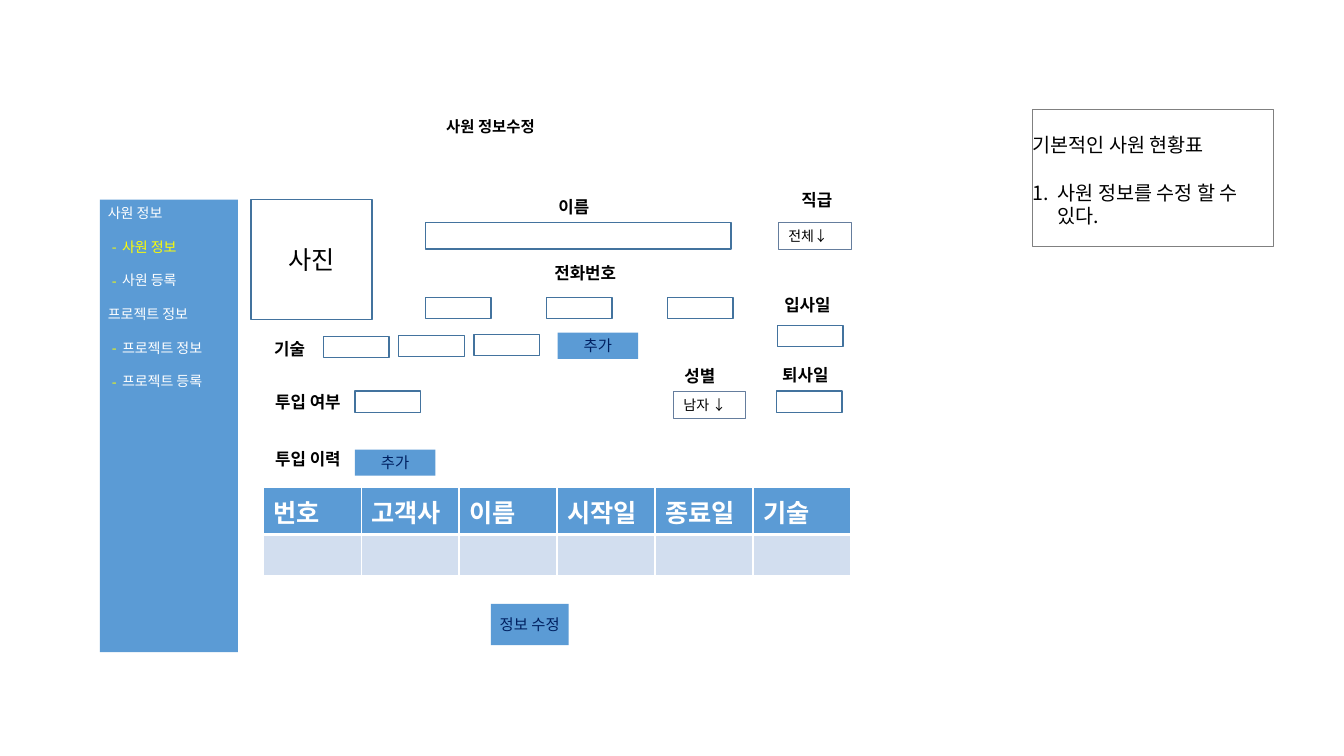
"""Build the employee information editing screen as one slide."""
from dataclasses import dataclass
from typing import Optional

from lxml.etree import SubElement
from pptx import Presentation
from pptx.dml.color import RGBColor
from pptx.enum.shapes import MSO_SHAPE as SHAPE
from pptx.enum.text import MSO_ANCHOR as ANCHOR, MSO_AUTO_SIZE as AUTO, PP_ALIGN as ALIGN
from pptx.oxml import parse_xml
from pptx.oxml.ns import nsdecls, qn
from pptx.util import Inches, Pt

FONT = "Noto Sans CJK KR"
BLACK = RGBColor(0x00, 0x00, 0x00)
WHITE = RGBColor(0xFF, 0xFF, 0xFF)
YELLOW = RGBColor(0xFF, 0xFF, 0x00)
BLUE = RGBColor(0x5B, 0x9B, 0xD5)
PALE = RGBColor(0xD2, 0xDE, 0xEF)
NAVY = RGBColor(0x00, 0x20, 0x60)
OUTLINE = RGBColor(0x43, 0x73, 0x9E)
DROP_LINE = RGBColor(0x65, 0x7D, 0x9D)
GRAY = RGBColor(0x80, 0x80, 0x80)


@dataclass(frozen=True)
class Style:
    size: float
    color: RGBColor = BLACK
    bold: bool = False
    align: ALIGN = ALIGN.LEFT
    anchor: ANCHOR = ANCHOR.TOP
    fill: Optional[RGBColor] = None
    line: Optional[RGBColor] = None
    weight: float = 1
    inset: tuple = (0.1, 0.05)


@dataclass(frozen=True)
class Item:
    left: float
    top: float
    width: float
    height: float
    style: Style
    text: str = ""


@dataclass(frozen=True)
class Entry:
    text: str
    color: RGBColor
    bullet: str = ""
    margin: float = 0
    hang: float = 0


TITLE = Style(11, bold=True, align=ALIGN.CENTER)
LABEL = Style(12, bold=True)
FIELD = Style(12, line=OUTLINE)
DROPDOWN = Style(10, line=DROP_LINE, weight=0.75)
BUTTON = Style(11, NAVY, align=ALIGN.CENTER, anchor=ANCHOR.MIDDLE, fill=BLUE, inset=(0, 0))
PHOTO = Style(18, align=ALIGN.CENTER, anchor=ANCHOR.MIDDLE, line=OUTLINE)
MENU = Style(10, WHITE, fill=BLUE, inset=(0.08, 0.05))
NOTE = Style(14, fill=WHITE, line=GRAY, weight=0.75, inset=(0, 0.23))
HEADER = Style(18, WHITE, bold=True)


def label(left: float, top: float, text: str, width: float = 0.75) -> Item:
    return Item(left, top, width, 0.3, LABEL, text)


def field(left: float, top: float) -> Item:
    return Item(left, top, 0.65, 0.21, FIELD)


def menu_item(text: str, color: RGBColor = WHITE) -> Entry:
    return Entry(text, color, "-", 0.14, 0.1)


MENU_ENTRIES = [
    Entry("사원 정보", WHITE), menu_item("사원 정보", YELLOW), menu_item("사원 등록"),
    Entry("프로젝트 정보", WHITE), menu_item("프로젝트 정보"), menu_item("프로젝트 등록"),
]
NOTE_ENTRIES = [
    Entry("기본적인 사원 현황표", BLACK),
    Entry("사원 정보를 수정 할 수 있다.", BLACK, "1.", 0.25, 0.25),
]
COLUMNS = ["번호", "고객사", "이름", "시작일", "종료일", "기술"]
ITEMS = [
    Item(2.49, 1.98, 1.2, 1.19, PHOTO, "사진"),
    label(5.44, 1.9, "이름"), Item(4.22, 2.21, 3.03, 0.26, FIELD),
    label(7.85, 1.83, "직급"), Item(7.72, 2.21, 0.73, 0.27, DROPDOWN, "전체↓"),
    label(5.4, 2.56, "전화번호", 0.88), *(field(4.22 + 1.2 * i, 2.95) for i in range(3)),
    label(2.62, 3.31, "기술"), *(field(3.21 + 0.745 * i, 3.34 - 0.01 * i) for i in range(3)),
    Item(5.53, 3.3, 0.8, 0.26, BUTTON, "추가"),
    label(7.68, 2.87, "입사일"), field(7.71, 3.23),
    label(7.66, 3.57, "퇴사일"), field(7.7, 3.88),
    label(6.69, 3.58, "성별"), Item(6.68, 3.88, 0.71, 0.27, DROPDOWN, "남자 ↓"),
    label(2.63, 3.84, "투입 여부", 0.99), field(3.52, 3.88),
    label(2.63, 4.4, "투입 이력", 0.99), Item(3.52, 4.46, 0.8, 0.26, BUTTON, "추가"),
    Item(4.87, 5.99, 0.77, 0.41, BUTTON, "정보 수정"),
]


def format_paragraph(p, style: Style, color: RGBColor) -> None:
    p.alignment = style.align
    p.space_before = Pt(0)
    for r in p.runs:
        r.font.size, r.font.bold, r.font.name = Pt(style.size), style.bold, FONT
        r.font.color.rgb = color
        SubElement(r.font._element, qn("a:ea"), typeface=FONT)


def format_shape(sp, item: Item) -> None:
    style = item.style
    sp.left, sp.top = Inches(item.left), Inches(item.top)
    sp.width, sp.height = Inches(item.width), Inches(item.height)
    if style.fill is None:
        sp.fill.background()
    else:
        sp.fill.solid()
        sp.fill.fore_color.rgb = style.fill
    if style.line is None:
        sp.line.fill.background()
    else:
        sp.line.color.rgb, sp.line.width = style.line, Pt(style.weight)
    tf = sp.text_frame
    tf.word_wrap, tf.auto_size, tf.vertical_anchor = True, AUTO.NONE, style.anchor
    tf.margin_left = tf.margin_right = Inches(style.inset[0])
    tf.margin_top = tf.margin_bottom = Inches(style.inset[1])
    if item.text:
        tf.text = item.text
        format_paragraph(tf.paragraphs[0], style, style.color)


def draw_item(slide, item: Item) -> None:
    if item.style is LABEL:
        sp = slide.shapes.add_textbox(0, 0, 0, 0)
    else:
        sp = slide.shapes.add_shape(SHAPE.RECTANGLE, 0, 0, 0, 0)
        sp.shadow.inherit = False
    format_shape(sp, item)


def fill_list(sp, item: Item, entries: list[Entry], gap: float) -> None:
    format_shape(sp, item)
    tf = sp.text_frame
    tf.text = "\n".join(entry.text for entry in entries)
    for p, entry in zip(tf.paragraphs, entries):
        format_paragraph(p, item.style, entry.color)
        p.space_after = Pt(gap)
        pPr = p._p.get_or_add_pPr()
        pPr.set("marL", str(Inches(entry.margin)))
        pPr.set("indent", str(-Inches(entry.hang)))
        if entry.bullet == "-":
            color = SubElement(pPr, qn("a:buClr"))
            SubElement(color, qn("a:srgbClr"), val=str(YELLOW))
            SubElement(pPr, qn("a:buFont"), typeface=FONT)
            SubElement(pPr, qn("a:buChar"), char="-")
        elif entry.bullet:
            SubElement(pPr, qn("a:buFont"), typeface=FONT)
            SubElement(pPr, qn("a:buAutoNum"), type="arabicPeriod")
        else:
            SubElement(pPr, qn("a:buNone"))


def draw_history(slide) -> None:
    frame = slide.shapes.add_table(2, len(COLUMNS), Inches(2.61), Inches(4.84), Inches(5.83), Inches(0.81))
    table = frame.table
    for row, texts in enumerate((COLUMNS, [""] * len(COLUMNS))):
        for col, text in enumerate(texts):
            cell = table.cell(row, col)
            cell.fill.solid()
            cell.fill.fore_color.rgb = PALE if row else BLUE
            cell.text = text
            format_paragraph(cell.text_frame.paragraphs[0], HEADER, WHITE)
            for i, side in enumerate("LRTB"):
                weight = 3 if (row, side) in ((0, "B"), (1, "T")) else 1
                cell._tc.get_or_add_tcPr().insert(i, parse_xml(
                    f'<a:ln{side} {nsdecls("a")} w="{Pt(weight)}"><a:solidFill>'
                    f'<a:srgbClr val="{WHITE}"/></a:solidFill></a:ln{side}>'))


def main() -> None:
    prs = Presentation()
    prs.slide_width, prs.slide_height = Inches(13.33), Inches(7.5)
    slide = prs.slides.add_slide(prs.slide_layouts[3])
    title, menu, note = slide.placeholders
    format_shape(title, Item(1.13, 1.11, 7.47, 0.29, TITLE, "사원 정보수정"))
    fill_list(menu, Item(0.99, 1.98, 1.37, 4.49, MENU), MENU_ENTRIES, 12)
    fill_list(note, Item(10.24, 1.09, 2.39, 1.36, NOTE), NOTE_ENTRIES, 17)
    for item in ITEMS:
        draw_item(slide, item)
    draw_history(slide)
    prs.save("out.pptx")


main()
